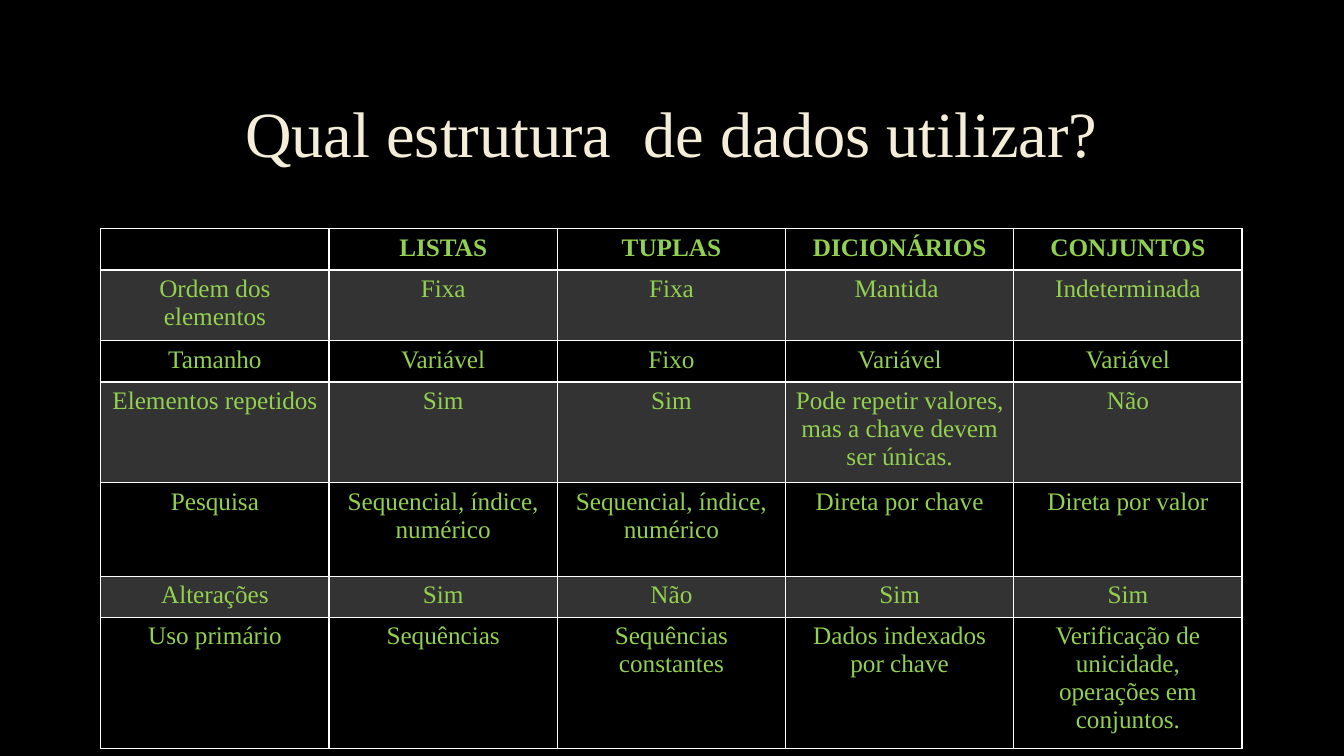
from lxml.etree import SubElement as Sub
from pptx import Presentation
from pptx.dml.color import RGBColor as Rgb
from pptx.enum.text import MSO_ANCHOR as Anchor, PP_ALIGN as Align
from pptx.oxml.ns import qn
from pptx.util import Inches, Pt

TITLE = "Qual estrutura  de dados utilizar?"
ROWS = [
    ("", "LISTAS", "TUPLAS", "DICIONÁRIOS", "CONJUNTOS"),
    ("Ordem dos elementos", "Fixa", "Fixa", "Mantida ", "Indeterminada"),
    ("Tamanho", "Variável", "Fixo", "Variável", "Variável"),
    ("Elementos repetidos", "Sim", "Sim",
     "Pode repetir valores, mas a chave devem ser únicas.", "Não"),
    ("Pesquisa", "Sequencial, índice, numérico", "Sequencial, índice, numérico",
     "Direta por chave", "Direta por valor"),
    ("Alterações", "Sim", "Não", "Sim", "Sim"),
    ("Uso primário", "Sequências", "Sequências constantes",
     "Dados indexados por chave",
     "Verificação de unicidade, operações em conjuntos."),
]
LINES = (1, 2, 1, 3, 3, 1, 4)  # text lines that each row has room for

THEME = {
    "font": "Times New Roman", "back": "000000", "title": "F4EDD8",
    "edge": "404040", "text": "92D050", "grid": "FFFFFF", "band": "FFFFFF",
    "title_size": 46, "text_size": 18,
}
LEFT, WIDTH = 1, 11.32
TITLE_TOP, TITLE_HIGH = 0.67, 1.38
TABLE_TOP = 2.27
ROW_MIN, LINE_HIGH, PAD = 0.41, 0.275, 0.1


def paint(node, color, alpha=None):
    """Add a solid fill to an XML node, with alpha in percent."""
    tone = Sub(Sub(node, qn("a:solidFill")), qn("a:srgbClr"), val=color)
    if alpha is not None:
        Sub(tone, qn("a:alpha"), val=str(alpha * 1000))


def style(para, size, color, bold=False):
    para.alignment = Align.CENTER
    for run in para.runs:
        font = run.font
        font.name, font.size, font.bold = THEME["font"], Pt(size), bold
        font.color.rgb = Rgb.from_string(color)


def add_title(slide):
    box = slide.shapes.add_textbox(
        Inches(LEFT), Inches(TITLE_TOP), Inches(WIDTH), Inches(TITLE_HIGH))
    frame = box.text_frame
    frame.word_wrap = True
    frame.vertical_anchor = Anchor.MIDDLE
    frame.text = TITLE
    para = frame.paragraphs[0]
    para.line_spacing = 0.9
    style(para, THEME["title_size"], THEME["title"])
    props = para.runs[0].font._element
    edge = Sub(props, qn("a:ln"), w=str(Pt(0.75)))
    paint(edge, THEME["edge"], 10)
    props.insert(0, edge)


def dress(cell, row):
    """Set the borders and the fill of a cell in the given row."""
    props = cell._tc.get_or_add_tcPr()
    thick = {"T": 2 if row == 1 else 1, "B": 2 if row == 0 else 1}
    for side in "LRTB":
        line = Sub(props, qn(f"a:ln{side}"), w=str(Pt(thick.get(side, 1))))
        paint(line, THEME["grid"])
    if row % 2:
        paint(props, THEME["band"], 20)
    else:
        cell.fill.background()


def add_grid(slide):
    highs = [max(ROW_MIN, n * LINE_HIGH + PAD) for n in LINES]
    count = len(ROWS[0])
    table = slide.shapes.add_table(
        len(ROWS), count, Inches(LEFT), Inches(TABLE_TOP),
        Inches(WIDTH), Inches(sum(highs))).table
    table.horz_banding = False
    for col in table.columns:
        col.width = Inches(WIDTH / count)
    for r, (texts, high) in enumerate(zip(ROWS, highs)):
        table.rows[r].height = Inches(high)
        for c, text in enumerate(texts):
            cell = table.cell(r, c)
            cell.text = text
            style(cell.text_frame.paragraphs[0], THEME["text_size"],
                  THEME["text"], bold=r == 0)
            dress(cell, r)


def main():
    deck = Presentation()
    deck.slide_width, deck.slide_height = Inches(13.33), Inches(7.5)
    slide = deck.slides.add_slide(deck.slide_layouts[6])
    back = slide.background.fill
    back.solid()
    back.fore_color.rgb = Rgb.from_string(THEME["back"])
    add_title(slide)
    add_grid(slide)
    deck.save("out.pptx")


if __name__ == "__main__":
    main()
